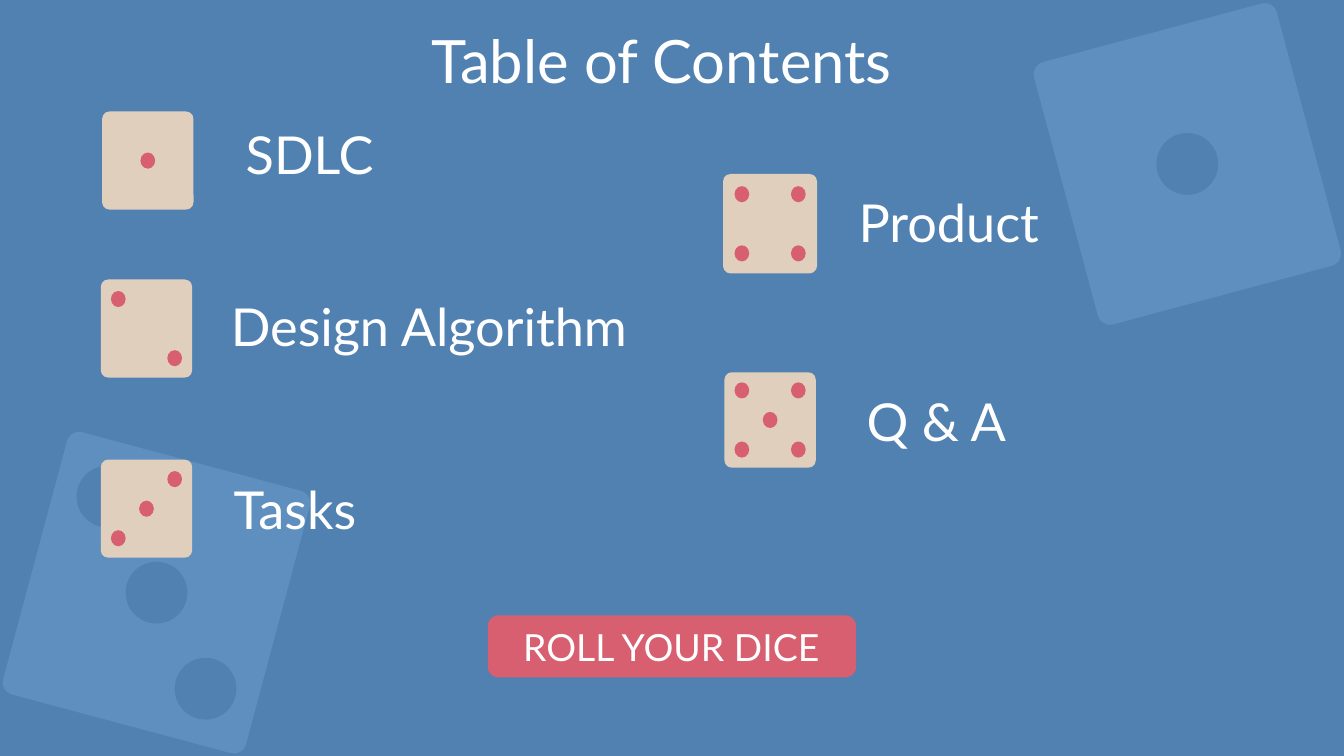
"""Build the dice-themed table of contents slide."""
from pptx import Presentation
from pptx.dml.color import RGBColor as Rgb
from pptx.enum.shapes import MSO_SHAPE as Kind
from pptx.enum.text import MSO_ANCHOR as Anchor, MSO_AUTO_SIZE as Fit, PP_ALIGN as Align
from pptx.util import Pt

PX = 914400 // 200
THEME = {
    "back": "5081B1", "ghost": "5F8FBE", "die": "E0CFBC", "red": "D85F6F",
    "ink": "FFFFFF", "font": "Lato", "title": 32, "label": 28, "button": 20,
}

deck = Presentation()
deck.slide_width, deck.slide_height = 2000 * PX, 1125 * PX
slide = deck.slides.add_slide(deck.slide_layouts[6])
slide.background.fill.solid()
slide.background.fill.fore_color.rgb = Rgb.from_string(THEME["back"])


def block(kind, mid, size, tone, turn=0, curve=None):
    """Add a filled shape around its middle point."""
    (x, y), (w, h) = mid, size
    shape = slide.shapes.add_shape(kind, round((x - w / 2) * PX), round((y - h / 2) * PX), w * PX, h * PX)
    shape.shadow.inherit = False
    shape.fill.solid()
    shape.fill.fore_color.rgb = Rgb.from_string(THEME[tone])
    shape.line.fill.background()
    shape.rotation = turn
    if curve is not None:
        shape.adjustments[0] = curve


def write(text, area, role, center=True):
    """Add a text box in the style of its role."""
    box = slide.shapes.add_textbox(*(n * PX for n in area))
    frame = box.text_frame
    frame.text = text
    frame.word_wrap = True
    if center:
        frame.vertical_anchor = Anchor.MIDDLE
        frame.paragraphs[0].alignment = Align.CENTER
    else:
        frame.auto_size = Fit.SHAPE_TO_FIT_TEXT
    font = frame.paragraphs[0].runs[0].font
    font.name, font.size = THEME["font"], Pt(THEME[role])
    font.color.rgb = Rgb.from_string(THEME["ink"])


block(Kind.ROUNDED_RECTANGLE, (1000, 962), (548, 92), "red", curve=0.17)

ghosts = [
    ((1767, 244), 345, [0]),
    ((233, 882), 15, [1, -1, 0]),
]
for (x, y), turn, spots in ghosts:
    block(Kind.ROUNDED_RECTANGLE, (x, y), (374, 404), "ghost", turn, 0.05)
    for step in spots:
        block(Kind.OVAL, (x + 73 * step, y + 143 * step), (92, 92), "back", turn)

write("Table of Contents", (142, 38, 1686, 100), "title")

one = [(0, 0)]
fall = [(-1, -1), (1, 1)]
rise = [(-1, 1), (1, -1)]
items = [
    ("SDLC", (346, 172), (220, 239), (136, 146), one),
    ("Design Algorithm", (324, 428), (218, 489), (136, 146), fall),
    ("Tasks", (328, 700), (218, 757), (136, 146), one + rise),
    ("Product", (1258, 274), (1146, 333), (140, 148), fall + rise),
    ("Q & A", (1270, 570), (1146, 625), (136, 142), one + fall + rise),
]
for text, spot, (x, y), size, pips in items:
    block(Kind.ROUNDED_RECTANGLE, (x, y), size, "die", curve=0.08)
    for col, row in pips:
        block(Kind.OVAL, (x + 42 * col, y + 44 * row), (22, 24), "red")
    write(text, (*spot, 660, 114), "label", center=False)

write("ROLL YOUR DICE", (738, 918, 522, 88), "button")

deck.save("out.pptx")
